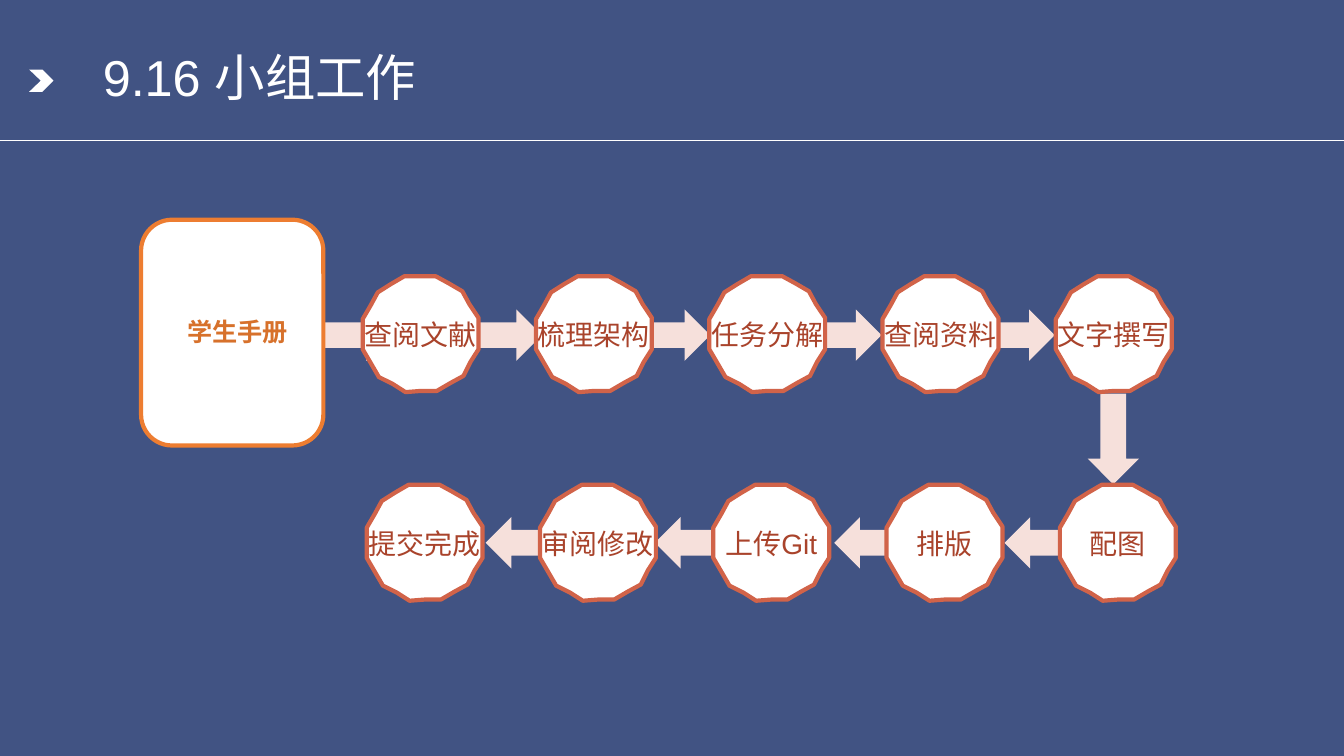
import pptx
import pptx.dml.color
import pptx.enum.shapes
import pptx.enum.text
import pptx.oxml.ns
import pptx.util
from lxml import etree
from pptx.util import Inches

COLORS = {
    "background": "415383", "white": "FFFFFF", "arrow": "F6E0DB",
    "step_line": "D16349", "step_text": "A9432B",
    "book_line": "ED7D31", "book_text": "D7712B",
}
FONT = "Arial"

# Outline of a step badge, as fractions of its size.
BADGE_OUTLINE = [
    (.63, 0), (.74, .06), (.86, .13), (.92, .24), (1, .36), (1, .49),
    (1, .63), (.93, .74), (.87, .86), (.76, .92), (.64, .99), (.5, .99),
    (.37, 1), (.26, .93), (.14, .87), (.07, .75), (0, .63), (0, .5),
    (0, .37), (.07, .25), (.13, .14), (.24, .07), (.36, 0), (.5, 0),
]
CHEVRON_OUTLINE = [(0, 0), (.55, 0), (1, .5), (.55, 1), (0, 1), (.48, .5)]

BADGE_SIZE = 1.15
COLUMN_PITCH = 1.72
# Left, top and labels of each row of steps.
STEP_ROWS = [
    (3.6, 2.74, ["查阅文献", "梳理架构", "任务分解", "查阅资料", "文字撰写"]),
    (3.64, 4.81, ["提交完成", "审阅修改", "上传Git", "排版", "配图"]),
]
# Rotation, top and lefts of each run of arrows.
ARROW_RUNS = [
    (0, 3.07, [2.99, 4.48, 6.15, 7.85, 9.57]),
    (90, 4.1, [10.6]),
    (180, 5.13, [4.82, 6.5, 8.28, 9.97]),
]


def color(name):
    return pptx.dml.color.RGBColor.from_string(COLORS[name])


class SlideBuilder:
    """Holds the current slide and draws its elements in one style."""

    def __init__(self, slide):
        self.slide = slide
        slide.background.fill.solid()
        slide.background.fill.fore_color.rgb = color("background")

    def paint(self, shape, fill, line=None):
        shape.shadow.inherit = False
        shape.fill.solid()
        shape.fill.fore_color.rgb = color(fill)
        if line:
            shape.line.color.rgb = color(line)
            shape.line.width = pptx.util.Pt(3)
        else:
            shape.line.fill.background()

    def set_text(self, shape, text, size, text_color, alignment, bold=False):
        shape.text_frame.text = text
        paragraph = shape.text_frame.paragraphs[0]
        paragraph.alignment = alignment
        paragraph.font.name = FONT
        paragraph.font.size = pptx.util.Pt(size)
        paragraph.font.bold = bold
        paragraph.font.color.rgb = color(text_color)
        return paragraph

    def title(self, text, left, top, width, height):
        shape = self.slide.shapes.title
        shape.left, shape.top = Inches(left), Inches(top)
        shape.width, shape.height = Inches(width), Inches(height)
        paragraph = self.set_text(shape, text, 36, "white", pptx.enum.text.PP_ALIGN.LEFT)
        paragraph.line_spacing = 0.9
        shape.text_frame.auto_size = pptx.enum.text.MSO_AUTO_SIZE.NONE
        shape.text_frame.vertical_anchor = pptx.enum.text.MSO_ANCHOR.MIDDLE

    def rule(self, left, top, right):
        connector = self.slide.shapes.add_connector(
            pptx.enum.shapes.MSO_CONNECTOR.STRAIGHT,
            Inches(left), Inches(top), Inches(right), Inches(top))
        connector.line.color.rgb = color("white")
        connector.line.width = pptx.util.Pt(0.75)
        properties = connector._element.spPr
        etree.SubElement(properties, pptx.oxml.ns.qn("a:effectLst"))

    def polygon(self, outline, left, top, width, height, fill, line=None):
        """Draw an outline given as fractions of the width and height."""
        points = [(Inches(left + x * width), Inches(top + y * height))
                  for x, y in outline]
        builder = self.slide.shapes.build_freeform(*points[0])
        builder.add_line_segments(points[1:], close=True)
        shape = builder.convert_to_shape()
        self.paint(shape, fill, line)
        return shape

    def step(self, text, left, top):
        shape = self.polygon(BADGE_OUTLINE, left, top, BADGE_SIZE, BADGE_SIZE,
                             "white", "step_line")
        frame = shape.text_frame
        frame.margin_left = frame.margin_right = 0
        frame.margin_top = frame.margin_bottom = 0
        frame.vertical_anchor = pptx.enum.text.MSO_ANCHOR.MIDDLE
        frame.word_wrap = False
        self.set_text(shape, text, 20, "step_text", pptx.enum.text.PP_ALIGN.CENTER)

    def arrow(self, left, top, rotation):
        shape = self.slide.shapes.add_shape(
            pptx.enum.shapes.MSO_SHAPE.RIGHT_ARROW,
            Inches(left), Inches(top), Inches(0.9), Inches(0.51))
        shape.rotation = rotation
        self.paint(shape, "arrow")

    def rounded_box(self, left, top, width, height):
        shape = self.slide.shapes.add_shape(
            pptx.enum.shapes.MSO_SHAPE.ROUNDED_RECTANGLE,
            Inches(left), Inches(top), Inches(width), Inches(height))
        shape.adjustments[0] = 0.17
        self.paint(shape, "white", "book_line")

    def label(self, text, left, top, width, height):
        shape = self.slide.shapes.add_textbox(
            Inches(left), Inches(top), Inches(width), Inches(height))
        shape.text_frame.word_wrap = True
        self.set_text(shape, text, 18, "book_text", pptx.enum.text.PP_ALIGN.LEFT, bold=True)


def main():
    presentation = pptx.Presentation()
    presentation.slide_width = Inches(13.34)
    presentation.slide_height = Inches(7.5)
    title_only = presentation.slide_layouts[5]
    builder = SlideBuilder(presentation.slides.add_slide(title_only))

    builder.rule(0, 1.39, 13.34)
    builder.polygon(CHEVRON_OUTLINE, 0.29, 0.69, 0.24, 0.22, "white")
    builder.title("9.16 小组工作", 0.92, 0.4, 11.5, 0.79)

    for rotation, top, lefts in ARROW_RUNS:
        for left in lefts:
            builder.arrow(left, top, rotation)
    for row_left, top, labels in STEP_ROWS:
        for column, text in enumerate(labels):
            builder.step(text, row_left + column * COLUMN_PITCH, top)

    builder.rounded_box(1.4, 2.18, 1.81, 2.24)
    builder.label("学生手册", 1.76, 3.09, 1.22, 0.4)
    presentation.save("out.pptx")


if __name__ == "__main__":
    main()
